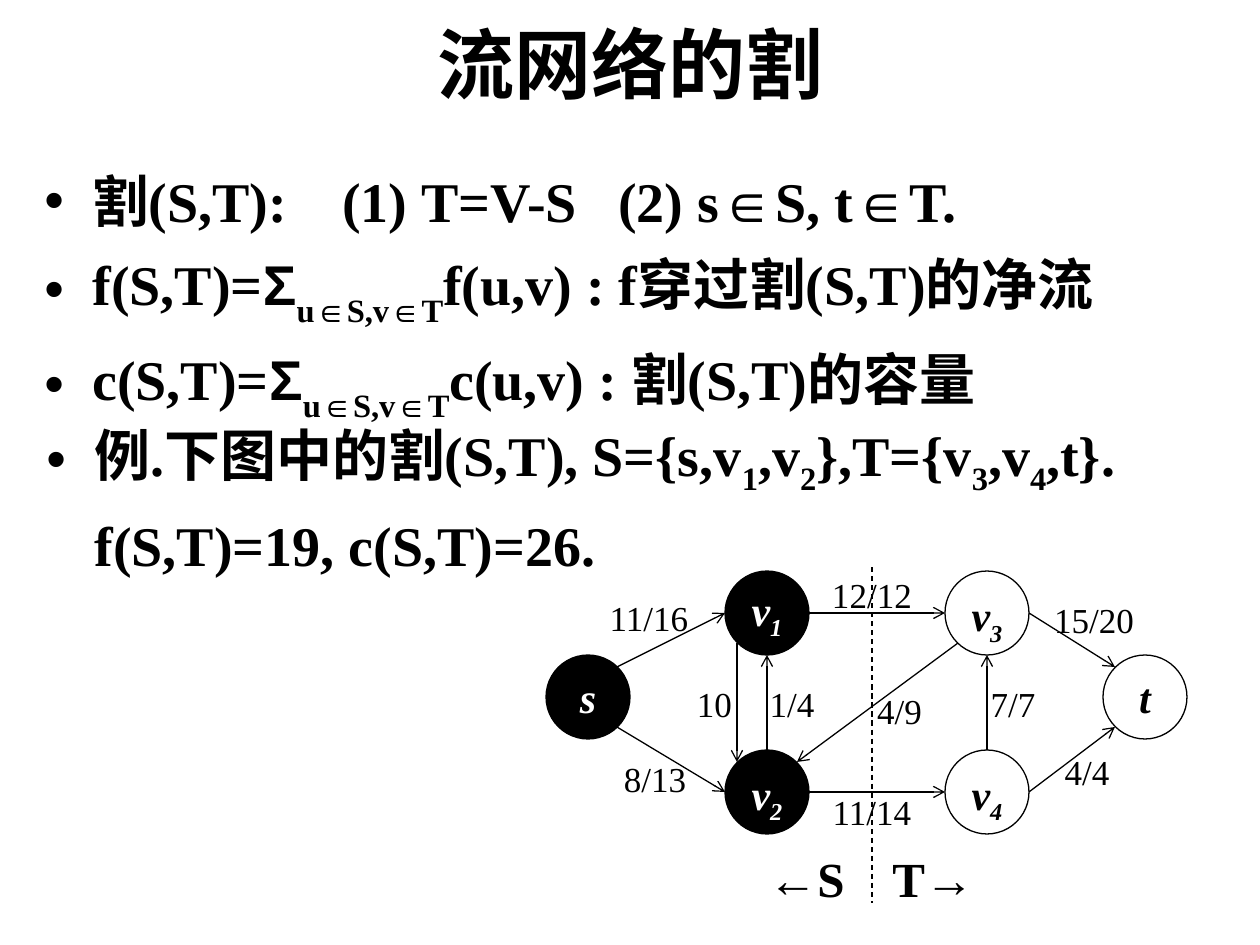
from pptx import Presentation
from pptx import util as u
from pptx.dml.color import RGBColor
from pptx.enum import dml, shapes, text
from pptx.oxml import ns
from lxml import etree

PX = 914400 / 126
FONT = "Times New Roman"
HUES = {"ink": "000000", "paper": "FFFFFF"}
NODE = 84
INDENT = 48


def px(n):
    return u.Emu(round(n * PX))


def hue(name):
    return RGBColor.from_string(HUES[name])


def sub(parent, tag, **attrs):
    return etree.SubElement(parent, ns.qn(tag), **attrs)


def style(para, size, bold=False, italic=False, ink="ink"):
    font = para.font
    font.name, font.size = FONT, u.Pt(size)
    font.bold, font.italic = bold, italic
    font.color.rgb = hue(ink)


def write(para, parts, drop=-25):
    for part in parts:
        words, low = part if isinstance(part, tuple) else (part, False)
        run = para.add_run()
        run.text = words
        if words in ("∈", "Σ"):
            run.font.name = "Arial"
        if low:
            run._r.get_or_add_rPr().set("baseline", str(drop * 1000))


def tabs(para, *stops):
    group = sub(para._p.get_or_add_pPr(), "a:tabLst")
    for stop in stops:
        sub(group, "a:tab", pos=str(px(stop)), algn="l")


def bullet(para):
    props = para._p.get_or_add_pPr()
    props.set("indent", str(-px(INDENT)))
    sub(props, "a:buFont", typeface="Arial")
    sub(props, "a:buChar", char="•")


def box(slide, left, top, width, height):
    frame = slide.shapes.add_textbox(px(left), px(top), px(width), px(height)).text_frame
    frame.word_wrap = True
    return frame


def title(slide, words):
    shape = slide.shapes.title
    shape.left, shape.top, shape.width, shape.height = px(0), px(0), px(1260), px(126)
    frame = shape.text_frame
    frame.text = words
    frame.vertical_anchor = text.MSO_ANCHOR.MIDDLE
    para = frame.paragraphs[0]
    para.alignment = text.PP_ALIGN.CENTER
    style(para, 44, bold=True)


def points(slide, place, rows, drop):
    frame = box(slide, *place)
    for i, (dot, parts, stops) in enumerate(rows):
        para = frame.paragraphs[0] if i == 0 else frame.add_paragraph()
        para.line_spacing = 1.2
        para._p.get_or_add_pPr().set("marL", str(px(INDENT)))
        if dot:
            bullet(para)
        if stops:
            tabs(para, *stops)
        style(para, 32, bold=True)
        write(para, parts, drop)


def node(slide, left, top, parts, fill, ink, anchor):
    shape = slide.shapes.add_shape(shapes.MSO_SHAPE.OVAL, px(left), px(top), px(NODE), px(NODE))
    shape.shadow.inherit = False
    shape.fill.solid()
    shape.fill.fore_color.rgb = hue(fill)
    shape.line.color.rgb = hue("ink")
    shape.line.width = u.Pt(0.75)
    frame = shape.text_frame
    frame.vertical_anchor = anchor
    para = frame.paragraphs[0]
    para.alignment = text.PP_ALIGN.CENTER
    style(para, 24, bold=True, italic=True, ink=ink)
    write(para, parts)


def edge(slide, start, end, dash=False):
    line = slide.shapes.add_connector(
        shapes.MSO_CONNECTOR.STRAIGHT, *map(px, start + end))
    line.line.color.rgb = hue("ink")
    line.line.width = u.Pt(0.75)
    if dash:
        line.line.dash_style = dml.MSO_LINE.DASH
    else:
        sub(line.line._get_or_add_ln(), "a:tailEnd", type="arrow")
    sub(line._element.spPr, "a:effectLst")


def label(slide, left, top, width, words):
    frame = box(slide, left, top, width, 55)
    frame.vertical_anchor = text.MSO_ANCHOR.MIDDLE
    para = frame.paragraphs[0]
    para.alignment = text.PP_ALIGN.CENTER
    style(para, 20)
    write(para, [words])


def sides(slide):
    para = box(slide, 756, 842, 252, 72).paragraphs[0]
    tabs(para, 124)
    style(para, 28, bold=True)
    write(para, ["←S\tT→"])


def main():
    deck = Presentation()
    deck.slide_width, deck.slide_height = px(1260), px(945)
    slide = deck.slides.add_slide(deck.slide_layouts[5])
    title(slide, "流网络的割")

    under = [("u", True), ("∈", True), ("S,v", True), ("∈", True), ("T", True)]
    points(slide, (32, 147, 1144, 431), [
        (True, ["割(S,T):\t(1) T=V-S\t(2) s", "∈", "S, t", "∈", "T."], (298, 574)),
        (True, ["f(S,T)=", "Σ", *under, "f(u,v) : f穿过割(S,T)的净流"], ()),
        (True, ["c(S,T)=", "Σ", *under, "c(u,v) : 割(S,T)的容量"], ()),
    ], -30)

    mid, top = text.MSO_ANCHOR.MIDDLE, text.MSO_ANCHOR.TOP
    dark, light = ("ink", "paper"), ("paper", "ink")
    for x, y, name, digit, tone, anchor in [
        (546, 655, "s", "", dark, mid),
        (725, 571, "v", "1", dark, mid),
        (945, 571, "v", "3", light, top),
        (725, 750, "v", "2", dark, top),
        (945, 750, "v", "4", light, top),
        (1103, 655, "t", "", light, mid),
    ]:
        parts = [name, (digit, True)] if digit else [name]
        node(slide, x, y, parts, *tone, anchor)

    for start, end in [
        ((617, 667), (725, 613)), ((809, 613), (945, 613)),
        ((617, 727), (725, 792)), ((1029, 613), (1115, 667)),
        ((809, 792), (945, 792)), ((1029, 792), (1115, 727)),
        ((737, 643), (737, 762)), ((767, 750), (767, 655)),
        ((958, 643), (797, 762)), ((987, 750), (987, 655)),
    ]:
        edge(slide, start, end)

    for x, y, width, words in [
        (586, 590, 126, "11/16"), (597, 751, 116, "8/13"),
        (683, 676, 63, "10"), (745, 676, 94, "1/4"),
        (809, 567, 126, "12/12"), (1031, 592, 126, "15/20"),
        (1040, 744, 94, "4/4"), (966, 676, 94, "7/7"),
        (847, 683, 105, "4/9"), (809, 784, 126, "11/14"),
    ]:
        label(slide, x, y, width, words)

    edge(slide, (872, 567), (872, 903), dash=True)
    sides(slide)
    points(slide, (34, 399, 1154, 203), [
        (True, ["例.下图中的割(S,T), S={s,v", ("1", True), ",v", ("2", True), "},T={v",
                ("3", True), ",v", ("4", True), ",t}."], ()),
        (False, ["f(S,T)=19, c(S,T)=26."], ()),
    ], -25)
    deck.save("out.pptx")


if __name__ == "__main__":
    main()
